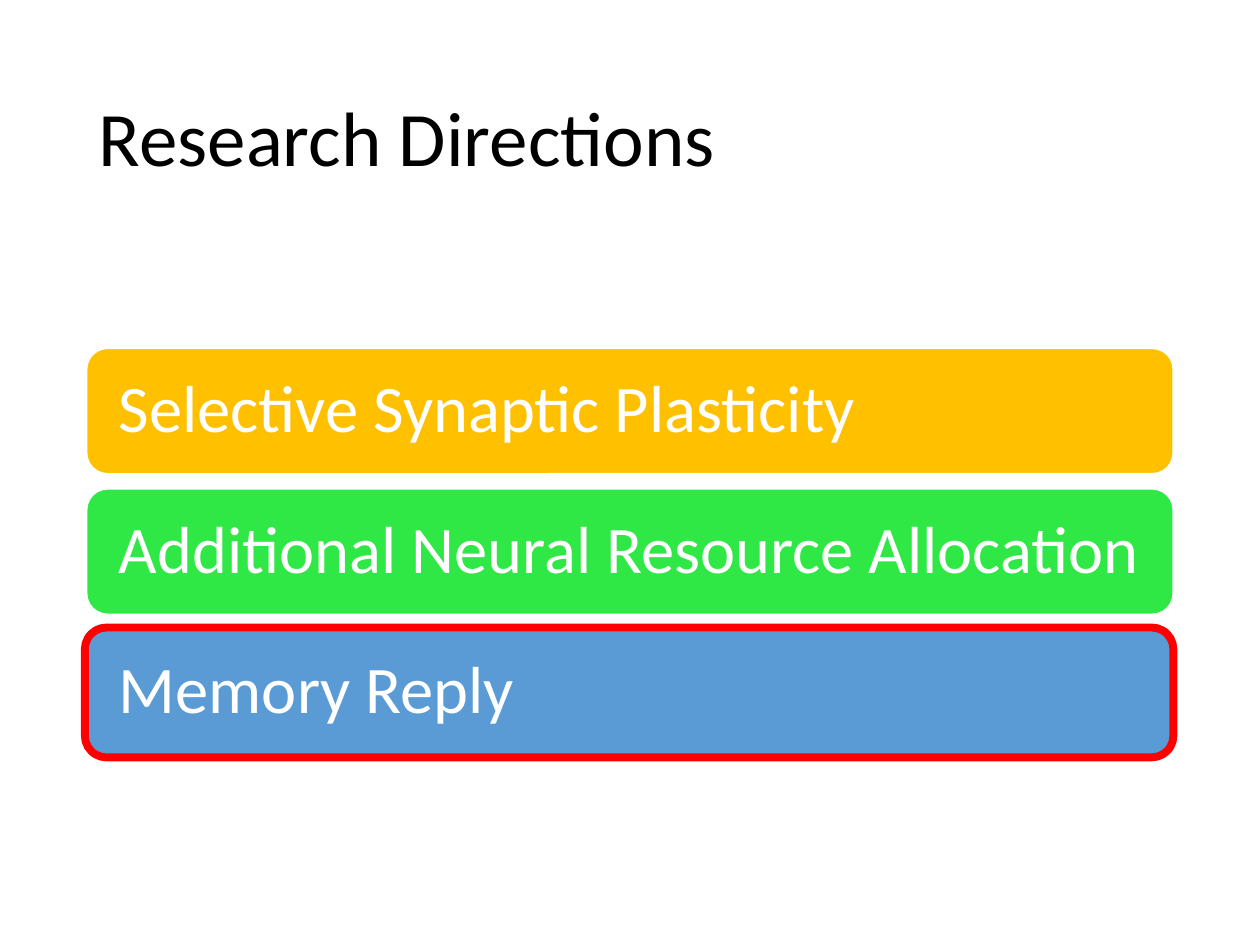
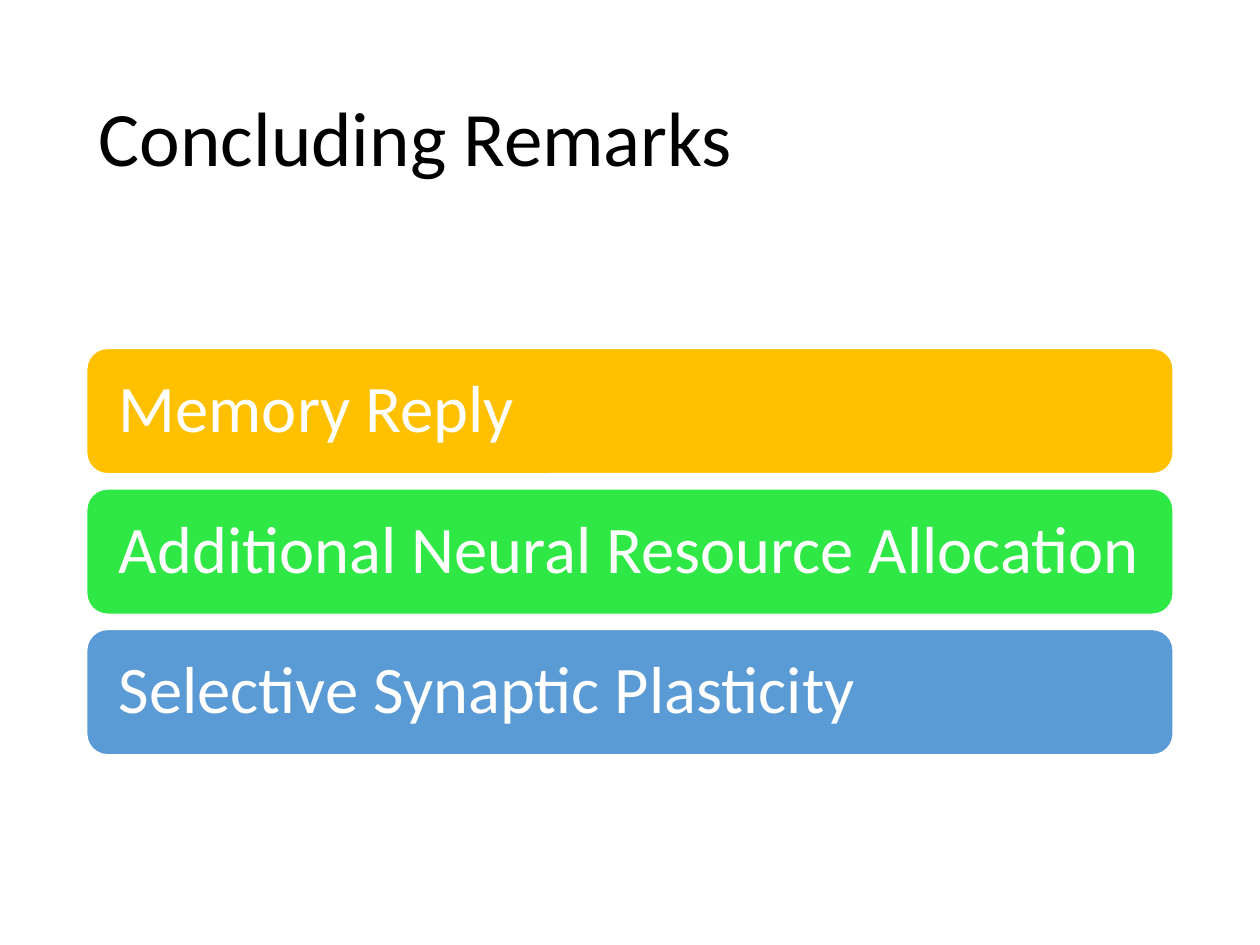
import pptx
import pptx.dml.color
import pptx.enum.shapes
import pptx.enum.text
import pptx.util

PLASTICITY = "Selective Synaptic Plasticity"
ALLOCATION = "Additional Neural Resource Allocation"
MEMORY = "Memory Reply"

SLIDES = [
    {"title": "Research Directions",
     "topics": [PLASTICITY, ALLOCATION, MEMORY], "highlight": MEMORY},
    {"title": "Concluding Remarks",
     "topics": [MEMORY, ALLOCATION, PLASTICITY], "highlight": None},
]

BAR_COLOURS = ["FFC000", "30E845", "5B9BD5"]
WHITE, BLACK, RED = "FFFFFF", "000000", "FF0000"
FONT = "Calibri"

Pt = pptx.util.Pt
PAGE_WIDTH, PAGE_HEIGHT = 720, 540
MARGIN = 49.5
CONTENT_WIDTH = PAGE_WIDTH - 2 * MARGIN
TITLE_TOP, TITLE_HEIGHT = 28.75, 104.4
BAR_TOP, BAR_HEIGHT, BAR_PITCH = 199, 71.8, 80.3

TITLE_STYLE = {"size": Pt(44), "name": FONT}
BAR_STYLE = {"size": Pt(38), "name": FONT}
TITLE_INSETS = {"margin_left": Pt(7.2), "margin_right": Pt(7.2),
                "margin_top": Pt(3.6), "margin_bottom": Pt(3.6)}
BAR_INSETS = {"margin_left": Pt(15), "margin_right": Pt(15),
              "margin_top": Pt(15), "margin_bottom": Pt(15)}


def colour(hex_code):
    return pptx.dml.color.RGBColor.from_string(hex_code)


def set_all(target, values):
    for name, value in values.items():
        setattr(target, name, value)


def write(box, text, style, text_colour, insets):
    """Put one left-aligned, vertically centred line of text in a box."""
    frame = box.text_frame
    set_all(frame, insets)
    set_all(frame, {"word_wrap": True,
                    "vertical_anchor": pptx.enum.text.MSO_ANCHOR.MIDDLE})
    para = frame.paragraphs[0]
    set_all(para, {"alignment": pptx.enum.text.PP_ALIGN.LEFT, "line_spacing": 0.9})
    span = para.add_run()
    span.text = text
    set_all(span.font, style)
    span.font.color.rgb = colour(text_colour)


def add_rounded_box(page, left, top, width, height, fill, line, line_width):
    box = page.shapes.add_shape(
        pptx.enum.shapes.MSO_SHAPE.ROUNDED_RECTANGLE,
        Pt(left), Pt(top), Pt(width), Pt(height))
    box.shadow.inherit = False
    if fill:
        box.fill.solid()
        box.fill.fore_color.rgb = colour(fill)
    else:
        box.fill.background()
    box.line.color.rgb = colour(line)
    box.line.width = Pt(line_width)
    return box


def add_title(page, text):
    box = page.shapes.add_textbox(
        Pt(MARGIN), Pt(TITLE_TOP), Pt(CONTENT_WIDTH), Pt(TITLE_HEIGHT))
    write(box, text, TITLE_STYLE, BLACK, TITLE_INSETS)


def add_topics(page, topics, highlight):
    for index, (topic, fill) in enumerate(zip(topics, BAR_COLOURS)):
        top = BAR_TOP + index * BAR_PITCH
        bar = add_rounded_box(page, MARGIN, top, CONTENT_WIDTH, BAR_HEIGHT,
                              fill, WHITE, 1)
        write(bar, topic, BAR_STYLE, WHITE, BAR_INSETS)
        if topic == highlight:
            add_rounded_box(page, MARGIN - 1, top - 1, CONTENT_WIDTH + 1,
                            BAR_HEIGHT + 2.4, None, RED, 4.5)


def main():
    deck = pptx.Presentation()
    set_all(deck, {"slide_width": Pt(PAGE_WIDTH), "slide_height": Pt(PAGE_HEIGHT)})
    for content in SLIDES:
        page = deck.slides.add_slide(deck.slide_layouts[6])
        add_title(page, content["title"])
        add_topics(page, content["topics"], content["highlight"])
    deck.save("out.pptx")


if __name__ == "__main__":
    main()
